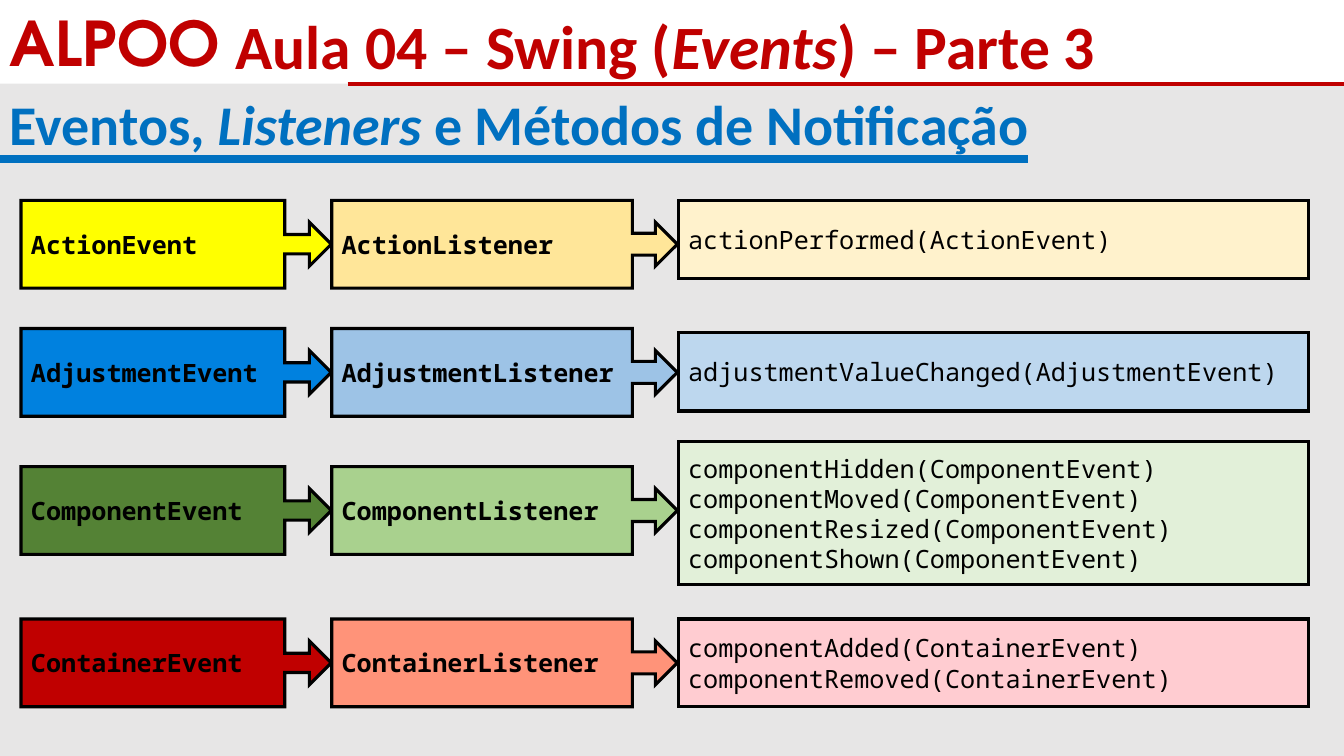
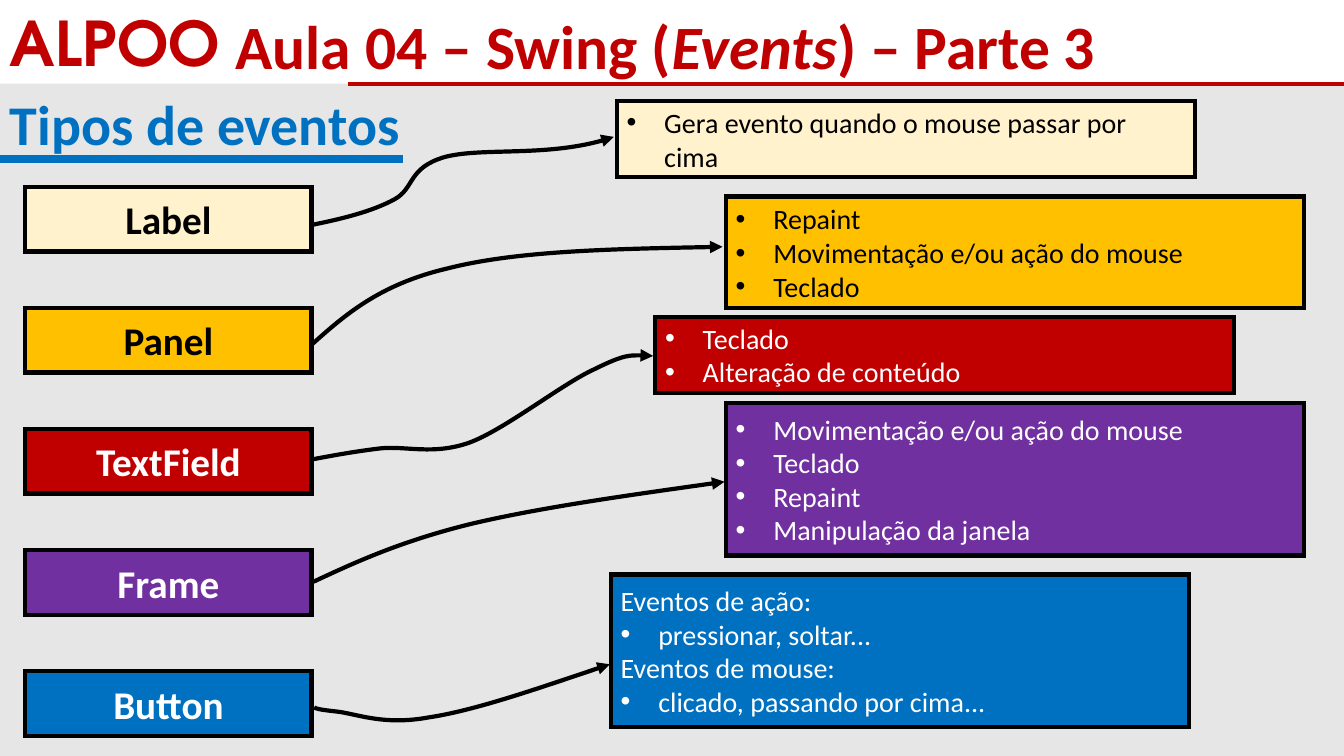
import pptx
import pptx.dml.color
import pptx.enum.shapes
import pptx.enum.text
import pptx.oxml.ns
import pptx.util
from lxml import etree

Cm = pptx.util.Cm
Pt = pptx.util.Pt
SHAPES = pptx.enum.shapes.MSO_SHAPE
ALIGN = pptx.enum.text.PP_ALIGN
ANCHOR = pptx.enum.text.MSO_ANCHOR
AUTO_SIZE = pptx.enum.text.MSO_AUTO_SIZE
RGB = pptx.dml.color.RGBColor.from_string
qn = pptx.oxml.ns.qn


class Theme:
    black, white, grey = "000000", "FFFFFF", "E7E6E6"
    red, blue, purple, amber, cream = "C00000", "0070C0", "7030A0", "FFC000", "FFF2CC"
    brand = {"name": "TeX Gyre Adventor", "size": Pt(44), "bold": True}
    title = {"name": "Calibri", "size": Pt(44), "bold": True}
    heading = {"name": "Calibri", "size": Pt(40), "bold": True}
    component = {"name": "Calibri", "size": Pt(28), "bold": True}
    detail = {"name": "Calibri", "size": Pt(20)}
    code = {"name": "Noto Sans Mono", "size": Pt(18)}
    code_bold = {**code, "bold": True}
    bullet_indent = Cm(0.95)


def add_box(slide, kind, place, lines=(), font=None, color=Theme.black,
            fill=None, border=None, align=ALIGN.LEFT, wrap=True):
    """Add a shape, or a text box if kind is None; *x* is italic, "• " starts a bullet."""
    place = [Cm(length) for length in place]
    if kind is None:
        shape = slide.shapes.add_textbox(*place)
    else:
        shape = slide.shapes.add_shape(kind, *place)
        shape.shadow.inherit = False
        shape.fill.solid()
        shape.fill.fore_color.rgb = RGB(fill)
        if border:
            shape.line.color.rgb = RGB(Theme.black)
            shape.line.width = Pt(border)
            etree.SubElement(shape._element.spPr.get_or_add_ln(), qn("a:miter"), lim="800000")
        else:
            shape.line.fill.background()

    frame = shape.text_frame
    frame_format = {
        "word_wrap": wrap,
        "vertical_anchor": ANCHOR.TOP if kind is None else ANCHOR.MIDDLE,
        "auto_size": AUTO_SIZE.SHAPE_TO_FIT_TEXT if kind is None else AUTO_SIZE.NONE,
    }
    for name, value in frame_format.items():
        setattr(frame, name, value)

    for number, line in enumerate(lines):
        paragraph = frame.add_paragraph() if number else frame.paragraphs[0]
        paragraph.alignment = align
        if line.startswith("• "):
            line = line[2:]
            properties = paragraph._p.get_or_add_pPr()
            properties.set("marL", str(Theme.bullet_indent))
            properties.set("indent", str(-Theme.bullet_indent))
            etree.SubElement(properties, qn("a:buFont"), typeface="Arial")
            etree.SubElement(properties, qn("a:buChar"), char="•")
        for position, text in enumerate(line.split("*")):
            run = paragraph.add_run()
            run.text = text
            for name, value in {**font, "italic": position % 2 == 1}.items():
                setattr(run.font, name, value)
            run.font.color.rgb = RGB(color)
    return shape


def add_rule(slide, left, right, top, color, width):
    """Add a horizontal line."""
    rule = slide.shapes.add_connector(
        pptx.enum.shapes.MSO_CONNECTOR.STRAIGHT, Cm(left), Cm(top), Cm(right), Cm(top))
    rule.line.color.rgb = RGB(color)
    rule.line.width = Pt(width)
    etree.SubElement(rule._element.spPr, qn("a:effectLst"))


presentation = pptx.Presentation()
presentation.slide_width = Cm(33.87)
presentation.slide_height = Cm(19.05)
layout = presentation.slide_layouts[6]
for placeholder in list(layout.placeholders):
    placeholder._element.getparent().remove(placeholder._element)

# Slides and their headings
headings = [
    ("Eventos, *Listeners* e Métodos de Notificação", 26.49, 25.91),
    ("Tipos de eventos", 10.44, 10.16),
]
listener_slide, component_slide = [presentation.slides.add_slide(layout) for _ in headings]

# Shared frame, drawn once and moved to the layout
add_box(listener_slide, SHAPES.RECTANGLE, (0, 2.11, 33.87, 16.94), fill=Theme.grey)
add_rule(listener_slide, 8.76, 33.87, 2.11, Theme.red, 3)
add_box(listener_slide, None, (0, 0, 6.12, 2.13), ["ALPOO"], Theme.brand, Theme.red, wrap=False)
add_box(listener_slide, None, (5.33, 0.08, 22.53, 2.13),
        ["Aula 04 – Swing (*Events*) – Parte 3"], Theme.title, Theme.red, align=ALIGN.RIGHT)
for shape in list(listener_slide.shapes):
    layout.shapes._spTree.append(shape._element)

for slide, (heading, width, rule_end) in zip((listener_slide, component_slide), headings):
    add_box(slide, None, (0, 2.13, width, 1.96), [heading], Theme.heading, Theme.blue, wrap=False)
    add_rule(slide, 0, rule_end, 4.01, Theme.blue, 6)

# Events, listeners and notification methods
# family, row top, methods top, methods height, three fills, methods
listener_rows = [
    ("Action", 5.05, 5.05, 1.98, ("FFFF00", "FFE699", Theme.cream),
     ["actionPerformed"]),
    ("Adjustment", 8.28, 8.38, 1.98, ("0081DF", "9DC3E6", "BDD7EE"),
     ["adjustmentValueChanged"]),
    ("Component", 11.76, 11.13, 3.61, ("548235", "A9D18E", "E2F0D9"),
     ["componentHidden", "componentMoved", "componentResized", "componentShown"]),
    ("Container", 15.6, 15.6, 2.21, (Theme.red, "FF9379", "FFCCD1"),
     ["componentAdded", "componentRemoved"]),
]
# suffix, left, width, shaft thickness, body share
callout_columns = [("Event", 0.53, 7.82, 0.22, 0.85), ("Listener", 8.36, 8.71, 0.25, 0.87)]
for family, top, methods_top, methods_height, fills, methods in listener_rows:
    for (suffix, left, width, shaft, body), fill in zip(callout_columns, fills):
        callout = add_box(listener_slide, SHAPES.RIGHT_ARROW_CALLOUT, (left, top, width, 2.21),
                          [family + suffix], Theme.code_bold, fill=fill, border=2.25)
        for index, value in enumerate((shaft, 0.25, 0.25, body)):
            callout.adjustments[index] = value
    add_box(listener_slide, SHAPES.RECTANGLE, (17.09, methods_top, 15.88, methods_height),
            [f"{method}({family}Event)" for method in methods],
            Theme.code, fill=fills[2], border=2.25)

# Components and the events they raise
# name, fill, text colour, events left, top and height, events, arrow curve points
components = [
    ("Label", Theme.cream, Theme.black, (15.54, 2.54, 1.93),
     ["• Gera evento quando o mouse passar por cima"],
     [(7.9, 5.66), (8.64, 5.51), (9.37, 5.33), (9.93, 5.03), (10.46, 4.75),
      (10.26, 4.24), (11.2, 3.96), (12.12, 3.71), (13.92, 3.99), (15.47, 3.45)]),
    ("Panel", Theme.amber, Theme.black, (18.29, 4.95, 2.82),
     ["• Repaint", "• Movimentação e/ou ação do mouse", "• Teclado"],
     [(7.85, 8.69), (8.71, 7.92), (9.58, 7.16), (11.3, 6.76),
      (13.03, 6.32), (15.62, 6.27), (18.21, 6.22)]),
    ("TextField", Theme.red, Theme.white, (16.51, 7.98, 1.93),
     ["• Teclado", "• Alteração de conteúdo"],
     [(7.85, 11.58), (8.38, 11.48), (8.92, 11.38), (9.58, 11.3), (10.24, 11.23),
      (10.92, 11.48), (11.84, 11.15), (12.73, 10.82), (14.2, 9.65), (14.99, 9.3),
      (15.75, 8.92), (16.1, 8.94), (16.46, 8.97)]),
    ("Frame", Theme.purple, Theme.white, (18.29, 10.16, 3.84),
     ["• Movimentação e/ou ação do mouse", "• Teclado", "• Repaint", "• Manipulação da janela"],
     [(7.9, 14.66), (8.99, 14.15), (10.11, 13.64), (11.84, 13.21),
      (13.56, 12.8), (15.9, 12.47), (18.26, 12.14)]),
    ("Button", Theme.blue, Theme.white, (15.39, 14.48, 3.84),
     ["Eventos de ação:", "• pressionar, soltar...",
      "Eventos de mouse:", "• clicado, passando por cima..."],
     [(7.92, 17.83), (7.98, 17.86), (8.03, 17.88), (8.48, 17.93), (8.97, 17.98),
      (9.65, 18.29), (10.8, 18.08), (11.94, 17.91), (13.64, 17.32), (15.37, 16.74)]),
]
for row, (name, fill, color, (left, top, height), events, points) in enumerate(components):
    add_box(component_slide, SHAPES.RECTANGLE, (0.64, 4.71 + 3.05 * row, 7.21, 1.63),
            [name], Theme.component, color, fill, 3, ALIGN.CENTER)
    add_box(component_slide, SHAPES.RECTANGLE, (left, top, 14.58, height),
            events, Theme.detail, color, fill, 3)

    start, *others = [(Cm(x), Cm(y)) for x, y in points]
    builder = component_slide.shapes.build_freeform(*start)
    builder.add_line_segments(others, close=False)
    arrow = builder.convert_to_shape()
    arrow.shadow.inherit = False
    arrow.fill.background()
    arrow.line.color.rgb = RGB(Theme.black)
    arrow.line.width = Pt(3)
    etree.SubElement(arrow._element.spPr.get_or_add_ln(), qn("a:tailEnd"), type="triangle")

    # Every three straight segments become one Bézier curve
    segments = list(arrow._element.iter(qn("a:lnTo")))
    for first in range(0, len(segments), 3):
        outline = segments[first].getparent()
        curve = etree.SubElement(outline, qn("a:cubicBezTo"))
        for segment in segments[first:first + 3]:
            curve.append(segment[0])
            outline.remove(segment)

presentation.save("out.pptx")
